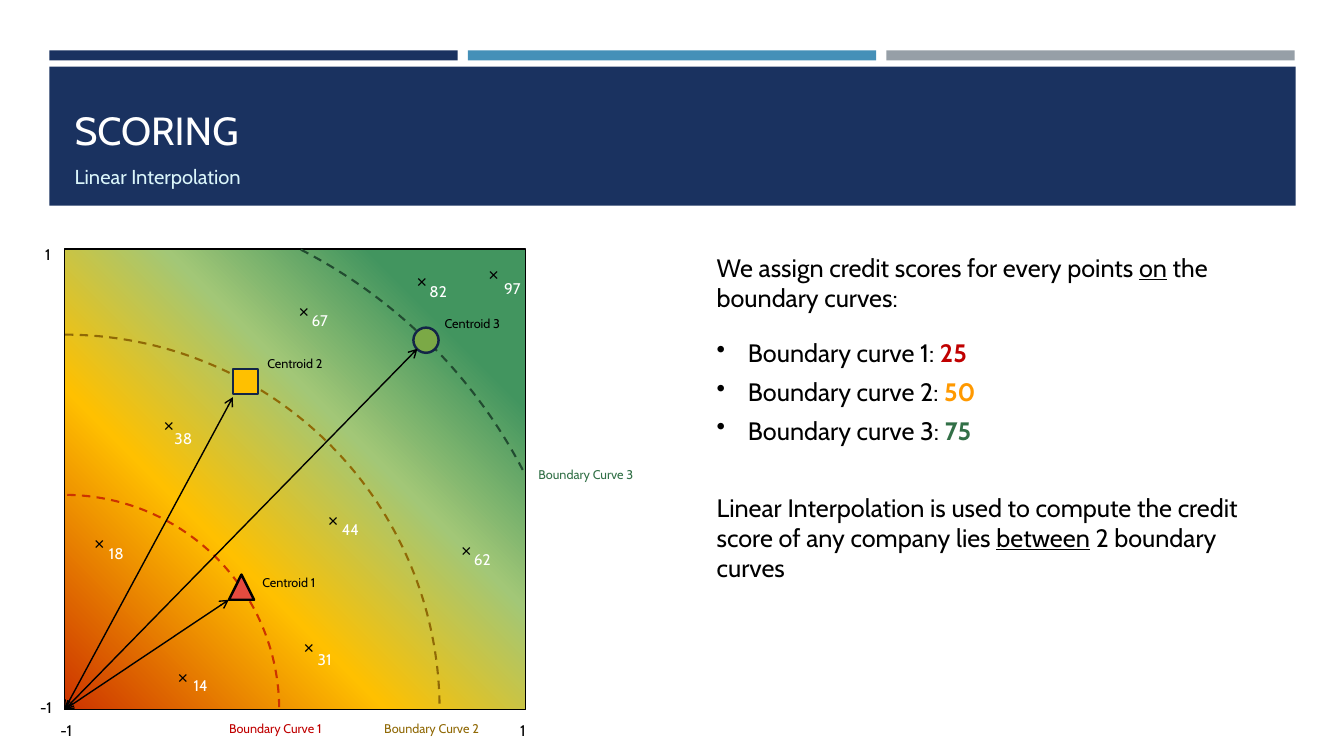
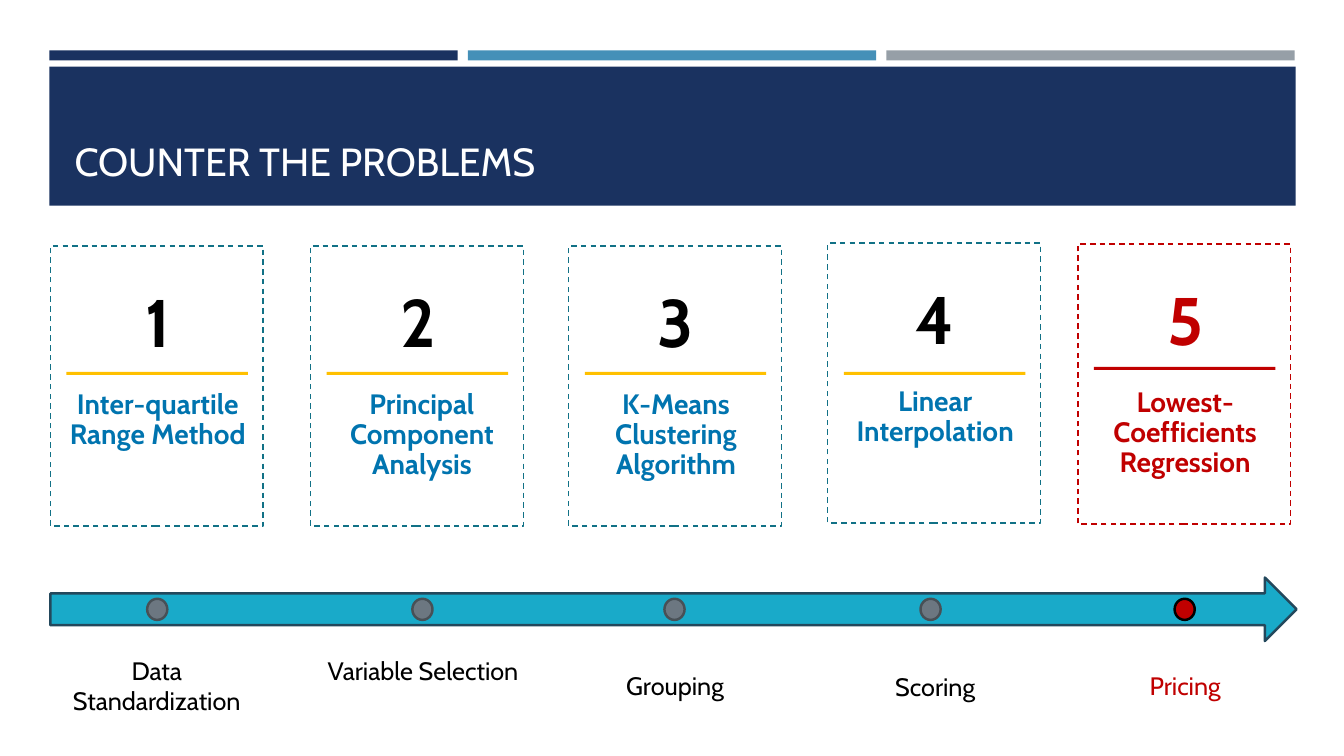
"""Build two slides on credit scoring by linear interpolation."""
from collections import namedtuple

from pptx import Presentation
from pptx.dml.color import RGBColor
from pptx.enum.dml import MSO_LINE
from pptx.enum.shapes import MSO_CONNECTOR, MSO_SHAPE
from pptx.enum.text import MSO_ANCHOR, PP_ALIGN
from pptx.oxml import parse_xml
from pptx.oxml.ns import nsdecls, qn
from pptx.util import Inches, Pt

RECT, ARC, OVAL = MSO_SHAPE.RECTANGLE, MSO_SHAPE.ARC, MSO_SHAPE.OVAL
TRIANGLE, ARROW = MSO_SHAPE.ISOSCELES_TRIANGLE, MSO_SHAPE.RIGHT_ARROW
STRAIGHT, DASH = MSO_CONNECTOR.STRAIGHT, MSO_LINE.DASH
LEFT, CENTER = PP_ALIGN.LEFT, PP_ALIGN.CENTER
BOTTOM = MSO_ANCHOR.BOTTOM

FONT = "Cabin"
TITLE_ONLY = 5
COLORS = {
    "navy": "1A3260", "blue": "4590B8", "gray": "969FA7", "white": "FFFFFF",
    "black": "000000", "ice": "DAF5FA", "red": "C00000", "ochre": "906906",
    "green": "327047", "forest": "214B30", "rust": "CC3300", "gold": "FFC000",
    "lime": "A2C777", "jade": "42955F", "coral": "E54B3F", "olive": "7BA946",
    "midnight": "132547", "orange": "FF9900", "azure": "0074AF",
    "teal": "117186", "cyan": "19AAC9", "slate": "23485C",
    "dot": "6C7781", "ring": "485056",
}

Card = namedtuple("Card", "left top rule_top name name_left dot step step_left step_top")


def rgb(name):
    """Return the named colour."""
    return RGBColor.from_string(COLORS[name])


def write(paragraph, text, size=18, color="black", bold=False, underline=False,
          align=LEFT, spacing=None, before=None, after=None, bullet=False):
    """Fill a paragraph with a string or with (string, format) runs."""
    if bullet:
        properties = paragraph._p.get_or_add_pPr()
        properties.set("marL", str(Inches(0.31)))
        properties.set("indent", str(Inches(-0.31)))
        properties.append(parse_xml(f'<a:buChar {nsdecls("a")} char="•"/>'))
    paragraph.alignment = align
    if spacing is not None:
        paragraph.line_spacing = spacing
    if before is not None:
        paragraph.space_before = Pt(before)
    if after is not None:
        paragraph.space_after = Pt(after)
    base = {"size": size, "color": color, "bold": bold, "underline": underline}
    for words, changes in [(text, {})] if isinstance(text, str) else text:
        style = {**base, **changes}
        run = paragraph.add_run()
        run.text = words
        run.font.name = FONT
        run.font.size = Pt(style["size"])
        run.font.bold = style["bold"]
        run.font.underline = style["underline"]
        run.font.color.rgb = rgb(style["color"])


class Deck:
    """Hold the shared style and the current slide."""

    def __init__(self):
        """Start a wide presentation."""
        self.prs = Presentation()
        self.prs.slide_width, self.prs.slide_height = Inches(13.33), Inches(7.5)
        self.layout = self.prs.slide_layouts[TITLE_ONLY]
        self.slide = None

    def add_bands(self):
        """Put the coloured bands on the layout, behind its placeholders."""
        tree = self.layout.placeholders[0].element.getparent()
        bands = [(0.49 + 4.15 * i, 0.5, 4.05, 0.1, color)
                 for i, color in enumerate(("navy", "blue", "gray"))]
        bands.append((0.49, 0.66, 12.36, 1.38, "navy"))
        for number, (*box, color) in enumerate(bands):
            band = self.shape(RECT, *box, fill=color).element
            band.nvSpPr.cNvPr.set("id", str(100 + number))
            tree.insert(2 + number, band)

    def new_slide(self, title, subtitle=None):
        """Add a slide with its title and optional subtitle."""
        first = self.slide is None
        self.slide = self.prs.slides.add_slide(self.layout)
        if first:
            self.add_bands()
        heading = self.slide.shapes.title
        top, height = (0.73, 1.19) if subtitle else (0.8, 1.08)
        heading.left, heading.top = Inches(0.64), Inches(top)
        heading.width, heading.height = Inches(12.06), Inches(height)
        frame = heading.text_frame
        frame.vertical_anchor = BOTTOM
        frame.word_wrap = True
        write(frame.paragraphs[0], title, size=28, color="white")
        if subtitle:
            write(frame.add_paragraph(), subtitle, size=14.4, color="ice", before=8)

    def shape(self, kind, left, top, width, height, fill=None, line=None,
              weight=1, dash=False):
        """Add a preset shape."""
        shape = self.slide.shapes.add_shape(
            kind, Inches(left), Inches(top), Inches(width), Inches(height))
        shape.shadow.inherit = False
        if fill:
            shape.fill.solid()
            shape.fill.fore_color.rgb = rgb(fill)
        else:
            shape.fill.background()
        if line:
            shape.line.color.rgb = rgb(line)
            shape.line.width = Pt(weight)
            if dash:
                shape.line.dash_style = DASH
        else:
            shape.line.fill.background()
        return shape

    def gradient_square(self, left, top, side, stops):
        """Add a square whose colours spread from its lower left corner."""
        square = self.shape(RECT, left, top, side, side, line="black")
        colors = "".join(
            f'<a:gs pos="{percent * 1000}"><a:srgbClr val="{COLORS[color]}"/></a:gs>'
            for percent, color in stops)
        properties = square.element.spPr
        properties.replace(properties.find(qn("a:noFill")), parse_xml(
            f'<a:gradFill {nsdecls("a")} rotWithShape="1"><a:gsLst>{colors}</a:gsLst>'
            '<a:path path="circle"><a:fillToRect t="100000" r="100000"/></a:path>'
            '<a:tileRect l="-100000" b="-100000"/></a:gradFill>'))

    def arc(self, center, radius, start, end, color):
        """Add a dashed arc between two angles in degrees."""
        x, y = center
        curve = self.shape(ARC, x - radius, y - radius, 2 * radius, 2 * radius,
                           line=color, weight=1.5, dash=True)
        for i, degrees in enumerate((start, end)):
            curve.adjustments[i] = degrees * 0.6

    def arrow(self, start, end):
        """Add a thin line with open arrowheads at both ends."""
        arrow = self.slide.shapes.add_connector(
            STRAIGHT, *(Inches(value) for value in (*start, *end)))
        arrow.line.color.rgb = rgb("black")
        arrow.line.width = Pt(1)
        properties = arrow.element.spPr
        outline = properties.find(qn("a:ln"))
        for tip in ("headEnd", "tailEnd"):
            outline.append(parse_xml(f'<a:{tip} {nsdecls("a")} type="arrow"/>'))
        properties.append(parse_xml(f'<a:effectLst {nsdecls("a")}/>'))

    def text(self, left, top, width, height, *paragraphs, inset=(0.1, 0.05), **style):
        """Add a text box of strings or (text, format) paragraphs."""
        frame = self.slide.shapes.add_textbox(
            Inches(left), Inches(top), Inches(width), Inches(height)).text_frame
        frame.word_wrap = True
        frame.margin_left = frame.margin_right = Inches(inset[0])
        frame.margin_top = frame.margin_bottom = Inches(inset[1])
        for i, item in enumerate(paragraphs):
            words, changes = (item, {}) if isinstance(item, str) else item
            paragraph = frame.add_paragraph() if i else frame.paragraphs[0]
            write(paragraph, words, **{**style, **changes})


def scoring_slide(deck):
    """Draw the score map and its explanation."""
    deck.new_slide("SCORING", "Linear Interpolation")
    origin = (0.64, 7.04)
    deck.gradient_square(0.64, 2.47, 4.57, [
        (0, "rust"), (35, "gold"), (61, "lime"), (83, "jade")])
    for radius, start, end, color in [
            (2.13, 270.75, 359.37, "rust"),
            (3.72, 270.08, 359.81, "ochre"),
            (5.13, 297.2, 332.84, "forest")]:
        deck.arc(origin, radius, start, end, color)

    for left, top, tick in [(0.5, 7.1, "-1"), (0.3, 6.88, "-1"),
                            (5.06, 7.1, "1"), (0.35, 2.38, "1")]:
        deck.text(left, top, 0.43, 0.29, tick, size=11)
    for number, (left, top, color) in enumerate([
            (2.07, 7.1, "red"), (3.62, 7.1, "ochre"), (5.15, 4.58, "green")], 1):
        deck.text(left, top, 1.32, 0.25, f"Boundary Curve {number}",
                  size=9, color=color, align=CENTER)

    centroids = [
        (TRIANGLE, (2.27, 5.7), "coral", "black", (2.38, 5.65), (2.27, 5.95)),
        (RECT, (2.31, 3.66), "gold", "midnight", (2.44, 3.48), (2.31, 3.94)),
        (OVAL, (4.1, 3.25), "olive", "midnight", (4.2, 3.08), (4.14, 3.46)),
    ]
    for number, (kind, place, fill, line, label, tip) in enumerate(centroids, 1):
        deck.shape(kind, *place, 0.25, 0.25, fill=fill, line=line, weight=1.75)
        deck.text(*label, 0.97, 0.25, f"Centroid {number}", size=9, align=CENTER)
        deck.arrow(origin, tip)

    scores = [("25", "red"), ("50", "orange"), ("75", "green")]
    deck.text(
        7.01, 2.45, 6.07, 2.04,
        ([("We assign credit scores for every points ", {}),
          ("on", {"underline": True}), (" the boundary curves:", {})], {"after": 18}),
        *(([(f"Boundary curve {number}: ", {}),
            (score, {"color": color, "bold": True})], {"bullet": True})
          for number, (score, color) in enumerate(scores, 1)),
        after=6)
    deck.text(
        7.01, 4.83, 5.79, 1.01,
        ([("Linear Interpolation is used to compute the credit score of any "
           "company lies ", {}),
          ("between", {"underline": True}), (" 2 boundary curves", {})], {}),
        after=6)

    companies = [
        ("97", (4.84, 2.55), (5, 2.77)), ("82", (4.13, 2.62), (4.26, 2.8)),
        ("67", (2.96, 2.92), (3.09, 3.09)), ("62", (4.57, 5.29), (4.7, 5.46)),
        ("44", (3.25, 4.99), (3.39, 5.16)), ("38", (1.62, 4.05), (1.73, 4.26)),
        ("31", (3.01, 6.25), (3.15, 6.45)), ("18", (0.93, 5.22), (1.08, 5.4)),
        ("14", (1.76, 6.55), (1.92, 6.71)),
    ]
    for score, cross, label in companies:
        deck.text(*cross, 0.18, 0.3, "×", inset=(0, 0))
        deck.text(*label, 0.2, 0.19, score, size=11, color="white", inset=(0, 0))


def problems_slide(deck):
    """Draw the five methods above their steps on a timeline."""
    deck.new_slide("COUNTER THE PROBLEMS")
    deck.shape(ARROW, 0.5, 5.73, 12.36, 0.63, fill="cyan", line="slate", weight=1.75)
    cards = [
        Card(0.5, 2.44, 3.69, "Inter-quartile Range Method", 0.46,
             1.46, "Data Standardization", 0.5, 6.45),
        Card(3.08, 2.44, 3.69, "Principal Component Analysis", 3.08,
             4.09, "Variable Selection", 3.14, 6.45),
        Card(5.64, 2.44, 3.69, "K-Means Clustering Algorithm", 5.6,
             6.59, "Grouping", 5.64, 6.6),
        Card(8.21, 2.41, 3.69, "Linear Interpolation", 8.17,
             9.13, "Scoring", 8.22, 6.61),
        Card(10.69, 2.42, 3.64, "Lowest-Coefficients Regression", 10.65,
             11.65, "Pricing", 10.7, 6.6),
    ]
    heading = {"bold": True, "align": CENTER, "spacing": 0.9, "inset": (0.16, 0.05)}
    for number, card in enumerate(cards, 1):
        current = number == len(cards)

        def pick(usual):
            """Return red for the current card, else its usual colour."""
            return "red" if current else usual

        deck.text(card.name_left, card.top + 1.38, 2.21, 1.01, card.name,
                  size=20, color=pick("azure"), **heading)
        deck.text(card.left - 0.04, card.top + 0.38, 2.21, 0.83, str(number),
                  size=48, color=pick("black"), **heading)
        deck.shape(RECT, card.left, card.top, 2.11, 2.78, line=pick("teal"), dash=True)
        deck.shape(RECT, card.left + 0.16, card.rule_top, 1.8, 0.03, fill=pick("gold"))
        deck.shape(OVAL, card.dot, 5.94, 0.2, 0.21, fill=pick("dot"),
                   line="black" if current else "ring", weight=1.75)
        deck.text(card.step_left, card.step_top, 2.11, 0.71, card.step,
                  color=pick("black"), align=CENTER)


def main():
    """Build and save the slides."""
    deck = Deck()
    scoring_slide(deck)
    problems_slide(deck)
    deck.prs.save("out.pptx")


if __name__ == "__main__":
    main()
